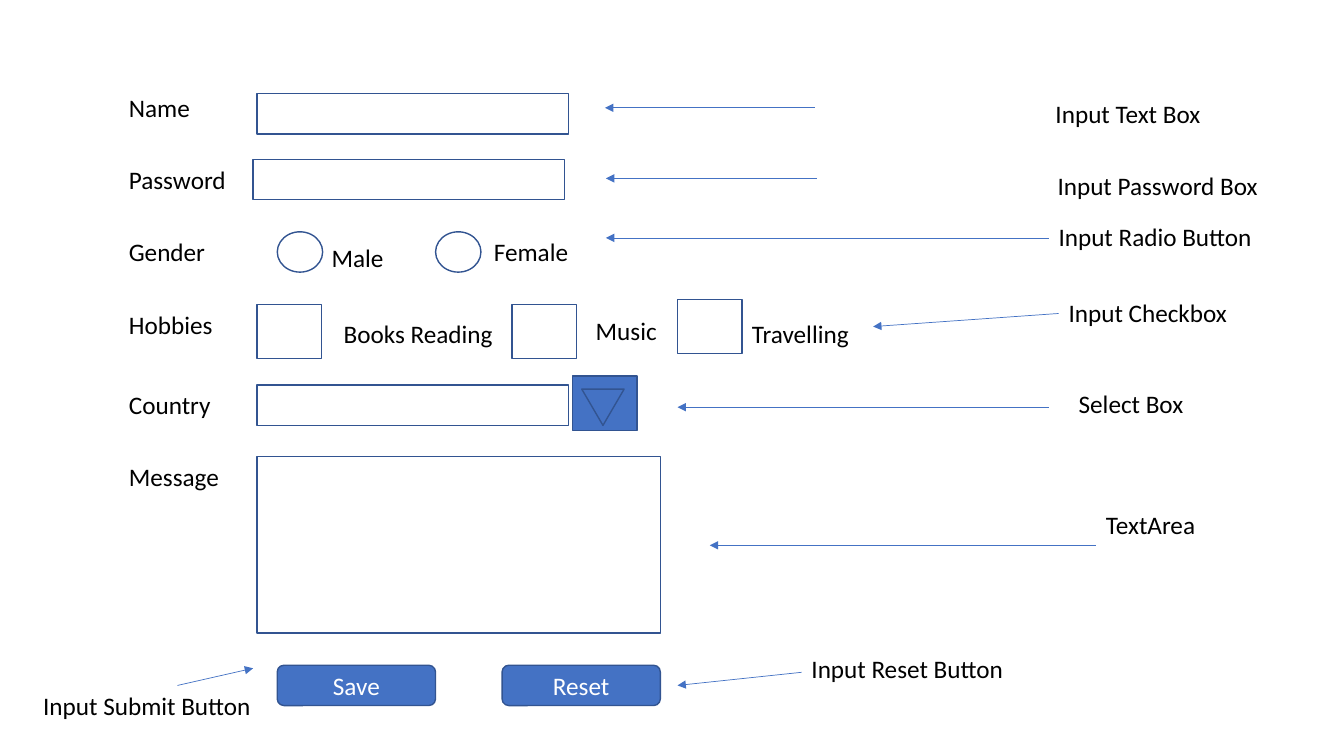
from typing import NamedTuple

from lxml import etree
from pptx import Presentation
from pptx.dml.color import RGBColor
from pptx.enum import shapes, text
from pptx.oxml import ns
from pptx.util import Inches, Pt

COLORS = {"outline": "325491", "accent": "4472C4", "text": "000000", "button_text": "FFFFFF"}
FONT = "Calibri"
LINE_H = 0.4
FIELD_X, FIELD_W = 2.55, 3.09
LABEL_X = 1.18
KIND = shapes.MSO_SHAPE


class Label(NamedTuple):
    words: str
    x: float
    y: float
    w: float


class Box(NamedTuple):
    x: float
    y: float
    w: float
    h: float = LINE_H
    kind: int = KIND.RECTANGLE
    fill: str = ""
    words: str = ""


class Arrow(NamedTuple):
    x1: float
    y1: float
    x2: float
    y2: float


def rgb(name: str) -> RGBColor:
    return RGBColor.from_string(COLORS[name])


def write(tf, words: str, color: str) -> None:
    tf.text = words
    r = tf.paragraphs[0].runs[0]
    r.font.name, r.font.size = FONT, Pt(18)
    r.font.color.rgb = rgb(color)


def add_label(s, label: Label) -> None:
    tb = s.shapes.add_textbox(Inches(label.x), Inches(label.y), Inches(label.w), Inches(LINE_H))
    tf = tb.text_frame
    tf.word_wrap = False
    tf.auto_size = text.MSO_AUTO_SIZE.SHAPE_TO_FIT_TEXT
    write(tf, label.words, "text")


def add_box(parent, box: Box):
    sp = parent.shapes.add_shape(box.kind, Inches(box.x), Inches(box.y), Inches(box.w), Inches(box.h))
    sp.shadow.inherit = False
    sp.line.color.rgb, sp.line.width = rgb("outline"), Pt(1)
    if box.fill:
        sp.fill.solid()
        sp.fill.fore_color.rgb = rgb(box.fill)
    else:
        sp.fill.background()
    if box.words:
        tf = sp.text_frame
        write(tf, box.words, "button_text")
        tf.vertical_anchor = text.MSO_ANCHOR.MIDDLE
        tf.paragraphs[0].alignment = text.PP_ALIGN.CENTER
    return sp


def add_arrow(s, arrow: Arrow) -> None:
    ends = [Inches(v) for v in arrow]
    c = s.shapes.add_connector(shapes.MSO_CONNECTOR.STRAIGHT, *ends)
    c.line.color.rgb, c.line.width = rgb("accent"), Pt(0.5)
    etree.SubElement(c.line._get_or_add_ln(), ns.qn("a:tailEnd"), type="triangle")
    etree.SubElement(c._element.spPr, ns.qn("a:effectLst"))


prs = Presentation()
prs.slide_width, prs.slide_height = Inches(13.33), Inches(7.5)
s = prs.slides.add_slide(prs.slide_layouts[6])

# Field labels down the left
FIELD_LABELS = [
    ("Name", 0.87, 0.81), ("Password", 1.58, 1.17), ("Gender", 2.3, 0.97),
    ("Hobbies", 3.02, 1.04), ("Country", 3.81, 1.02), ("Message", 4.53, 1.1),
]
for words, y, w in FIELD_LABELS:
    add_label(s, Label(words, LABEL_X, y, w))

# Name, password, country and message fields
for field in [
    Box(FIELD_X, 0.93, FIELD_W),
    Box(2.51, 1.58, FIELD_W),
    Box(FIELD_X, 3.82, FIELD_W),
    Box(FIELD_X, 4.53, 4, 1.75),
]:
    add_box(s, field)

# Gender radio buttons
for x, option in [
    (2.75, Label("Male", 3.19, 2.35, 0.72)),
    (4.32, Label("Female", 4.8, 2.3, 0.95)),
]:
    add_box(s, Box(x, 2.3, 0.45, kind=KIND.OVAL))
    add_label(s, option)

# Hobby checkboxes
for x, y, option in [
    (FIELD_X, 3.02, Label("Books Reading", 3.31, 3.11, 1.7)),
    (5.08, 3.02, Label("Music", 5.81, 3.08, 0.81)),
    (6.72, 2.97, Label("Travelling", 7.36, 3.11, 1.17)),
]:
    add_box(s, Box(x, y, 0.64, 0.54))
    add_label(s, option)

# Country drop-down button
dropdown = s.shapes.add_group_shape()
add_box(dropdown, Box(5.68, 3.73, 0.64, 0.54, fill="accent"))
triangle = add_box(dropdown, Box(5.77, 3.86, 0.42, 0.36, KIND.ISOSCELES_TRIANGLE, "accent"))
triangle.rotation = 180

# Save and reset buttons
for words, x in [("Save", 2.75), ("Reset", 4.98)]:
    add_box(s, Box(x, 6.6, 1.57, LINE_H, KIND.ROUNDED_RECTANGLE, "accent", words))

# Notes naming each control, with their arrows
for note, arrow in [
    (Label("Input Text Box", 10.37, 0.93, 1.65), Arrow(8.08, 1.07, 6, 1.07)),
    (Label("Input Password Box", 10.39, 1.64, 2.21), Arrow(8.1, 1.77, 6.01, 1.77)),
    (Label("Input Radio Button", 10.4, 2.15, 2.15), Arrow(10.4, 2.36, 6.01, 2.36)),
    (Label("Input Checkbox", 10.5, 2.9, 1.79), Arrow(10.5, 3.11, 8.66, 3.24)),
    (Label("Select Box", 10.6, 3.8, 1.25), Arrow(10.4, 4.04, 6.72, 4.04)),
    (Label("TextArea", 10.87, 5, 1.1), Arrow(10.87, 5.41, 7.04, 5.41)),
    (Label("Input Submit Button", 0.33, 6.8, 2.29), Arrow(1.76, 6.8, 2.51, 6.63)),
    (Label("Input Reset Button", 7.95, 6.43, 2.13), Arrow(7.95, 6.67, 6.72, 6.8)),
]:
    add_label(s, note)
    add_arrow(s, arrow)

prs.save("out.pptx")
